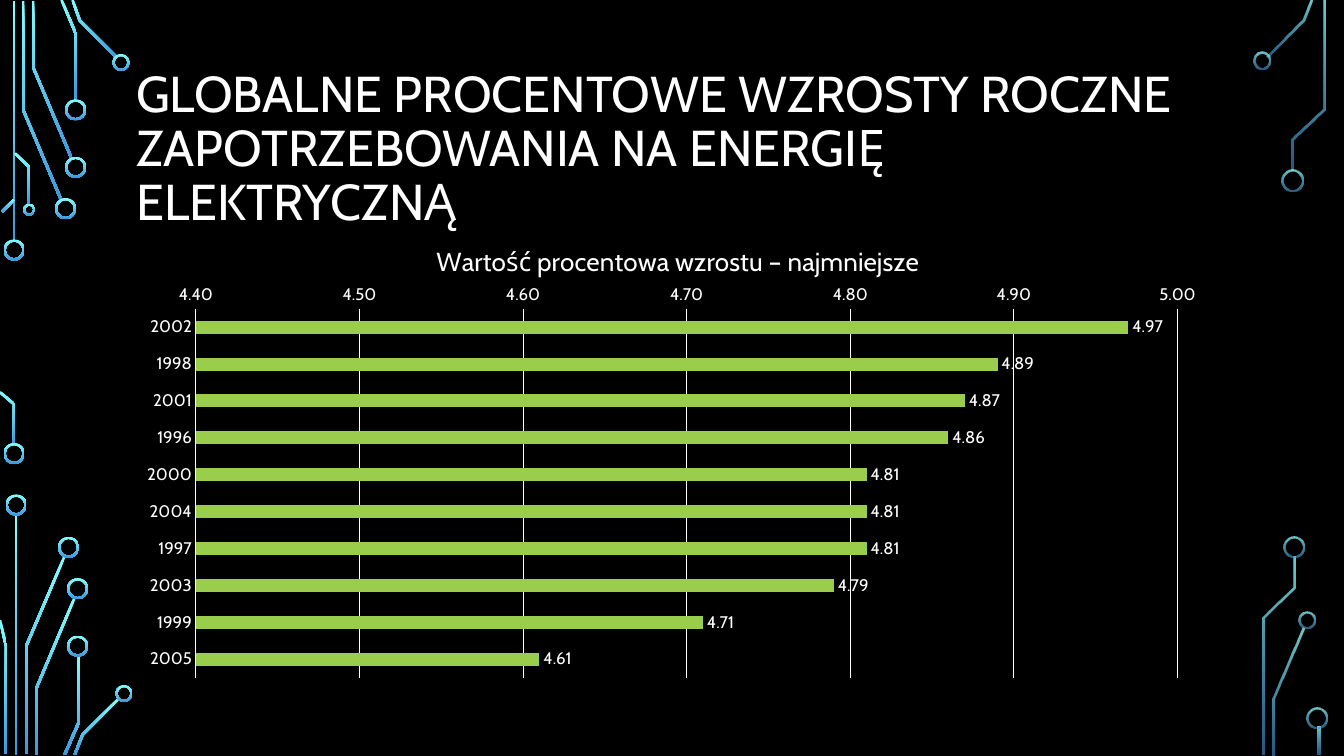
import math
from lxml import etree
from pptx import Presentation, util as u
from pptx.chart import data as chart_data
from pptx.dml import color as dml_color
from pptx.enum import chart as chart_enum, shapes, text
from pptx.oxml import ns

PX = 9144
FONT = "Cabin"
COLORS = {
    "background": "000000",
    "text": "FFFFFF",
    "bar": "9ACD4C",
    "glow": "82FFFF",
    "blue": "3D97DE",
}
TRACE_HALF = 1.25
RING_STROKE = 2.1
RING = 21
SMALL_RING = 17
TINY_RING = 12
OPAQUE = (100, 100)
FADED = (80, 60)

LEFT_TRACES = [
    [(14, 1), (14, 240)],
    [(61, 199), (23, 109), (23, 1)],
    [(71, 157), (33, 67), (33, 1)],
    [(75, 100), (75, 33), (61, 0)],
    [(116, 57), (79, 20), (72, 0)],
    [(2, 210), (14, 198)],
    [(14, 441), (14, 401), (0, 389)],
    [(29, 203), (29, 166), (15, 152)],
    [(16, 510), (16, 749)],
    [(26, 748), (26, 641), (64, 552)],
    [(6, 748), (6, 641), (0, 615)],
    [(36, 749), (36, 683), (74, 593)],
    [(64, 749), (78, 717), (78, 650)],
    [(74, 749), (82, 729), (118, 693)],
]
LEFT_RINGS = [
    (14, 248, RING), (14, 450, RING), (65, 207, RING), (75, 166, RING),
    (75, 109, RING), (120, 62, SMALL_RING), (29, 208, TINY_RING),
    (16, 501, RING), (68, 543, RING), (77, 584, RING), (77, 641, RING),
    (123, 688, SMALL_RING),
]
RIGHT_TRACES = [
    [(1257, 56), (1293, 20), (1301, 0)],
    [(1282, 169), (1282, 138), (1313, 108), (1313, 1)],
    [(1263, 749), (1263, 693), (1293, 623)],
    [(1253, 749), (1253, 613), (1284, 583), (1284, 552)],
    [(1308, 721), (1308, 749)],
]
RIGHT_RINGS = [
    (1252, 60, SMALL_RING), (1282, 179, RING), (1296, 615, SMALL_RING),
    (1283, 543, RING), (1306, 712, RING),
]
GROWTH = {
    "2002": 4.97, "1998": 4.89, "2001": 4.87, "1996": 4.86, "2000": 4.81,
    "2004": 4.81, "1997": 4.81, "2003": 4.79, "1999": 4.71, "2005": 4.61,
}


def px(value):
    return u.Emu(round(value * PX))


def rgb(name):
    return dml_color.RGBColor.from_string(COLORS[name])


def style_font(font, size):
    font.name = FONT
    font.size = u.Pt(size)
    font.bold = False
    font.color.rgb = rgb("text")


def style_glow(shape, opacities):
    shape.shadow.inherit = False
    shape.line.fill.background()
    shape.fill.gradient()
    shape.fill.gradient_angle = 270
    for stop, name, position, opacity in zip(
        shape.fill.gradient_stops, ("glow", "blue"), (0, 1), opacities
    ):
        stop.color.rgb = rgb(name)
        stop.position = position
    for value, opacity in zip(shape.element.iter(ns.qn("a:srgbClr")), opacities):
        if opacity < 100:
            etree.SubElement(value, ns.qn("a:alpha"), val=str(opacity * 1000))


def trace_side(points, offset):
    angles = [
        math.atan2(y2 - y1, x2 - x1)
        for (x1, y1), (x2, y2) in zip(points, points[1:])
    ]
    side = []
    for (x, y), before, after in zip(points, angles[:1] + angles, angles + angles[-1:]):
        turn = math.remainder(after - before, math.tau) / 2
        normal = before + turn + math.pi / 2
        reach = offset / math.cos(turn)
        side.append((px(x + reach * math.cos(normal)), px(y + reach * math.sin(normal))))
    return side


def add_trace(slide, points, opacities):
    outline = trace_side(points, TRACE_HALF) + trace_side(points, -TRACE_HALF)[::-1]
    builder = slide.shapes.build_freeform(*outline[0])
    builder.add_line_segments(outline[1:], close=True)
    style_glow(builder.convert_to_shape(), opacities)


def add_ring(slide, x, y, size, opacities):
    ring = slide.shapes.add_shape(
        shapes.MSO_SHAPE.DONUT, px(x - size / 2), px(y - size / 2), px(size), px(size)
    )
    ring.adjustments[0] = RING_STROKE / size
    style_glow(ring, opacities)


def add_circuit(slide, traces, rings, opacities):
    for points in traces:
        add_trace(slide, points, opacities)
    for x, y, size in rings:
        add_ring(slide, x, y, size, opacities)


def format_title(slide, wording):
    title = slide.shapes.title
    title.left, title.top, title.width, title.height = map(px, (125, 68, 1083, 162))
    frame = title.text_frame
    frame.text = wording
    frame.word_wrap = True
    frame.auto_size = text.MSO_AUTO_SIZE.NONE
    frame.vertical_anchor = text.MSO_ANCHOR.MIDDLE
    paragraph = frame.paragraphs[0]
    paragraph.alignment = text.PP_ALIGN.LEFT
    paragraph.line_spacing = 0.9
    style_font(paragraph.runs[0].font, 36)


def set_layout(parent, index, inner=False, **fractions):
    for layout in parent.findall(ns.qn("c:layout")):
        parent.remove(layout)
    layout = parent.makeelement(ns.qn("c:layout"))
    parent.insert(index, layout)
    manual = etree.SubElement(layout, ns.qn("c:manualLayout"))
    if inner:
        etree.SubElement(manual, ns.qn("c:layoutTarget"), val="inner")
    for mode in ("xMode", "yMode"):
        etree.SubElement(manual, ns.qn(f"c:{mode}"), val="edge")
    for name, fraction in fractions.items():
        etree.SubElement(manual, ns.qn(f"c:{name}"), val=str(fraction))


def style_axis(axis):
    axis.major_tick_mark = chart_enum.XL_TICK_MARK.NONE
    axis.minor_tick_mark = chart_enum.XL_TICK_MARK.NONE
    style_font(axis.tick_labels.font, 12)


def style_line(line):
    line.color.rgb = rgb("text")
    line.width = u.Pt(0.75)


def add_growth_chart(slide, heading):
    growth = chart_data.CategoryChartData(number_format="0.00")
    growth.categories = list(GROWTH)
    growth.add_series("Series 1", list(GROWTH.values()))
    chart = slide.shapes.add_chart(
        chart_enum.XL_CHART_TYPE.BAR_CLUSTERED, *map(px, (125, 218, 1083, 465)), growth
    ).chart
    style_font(chart.font, 10)
    chart.has_legend = False
    chart.has_title = True
    frame = chart.chart_title.text_frame
    frame.text = heading
    style_font(frame.paragraphs[0].runs[0].font, 18.6)
    set_layout(chart.chart_title.element, 1, x=0.28, y=0.04)
    plot_area = chart.element.find(f".//{ns.qn('c:plotArea')}")
    set_layout(plot_area, 0, inner=True, x=0.064, y=0.19, w=0.899, h=0.787)

    years = chart.category_axis
    style_axis(years)
    style_line(years.format.line)
    years.reverse_order = True
    percents = chart.value_axis
    style_axis(percents)
    percents.format.line.fill.background()
    style_line(percents.major_gridlines.format.line)
    percents.minimum_scale, percents.maximum_scale, percents.major_unit = 4.4, 5, 0.1
    percents.tick_labels.number_format = "0.00"
    percents.tick_labels.number_format_is_linked = False

    plot = chart.plots[0]
    plot.gap_width = 182
    plot.vary_by_categories = False
    series = plot.series[0]
    series.format.fill.solid()
    series.format.fill.fore_color.rgb = rgb("bar")
    labels = series.data_labels
    labels.show_value = True
    labels.position = chart_enum.XL_LABEL_POSITION.OUTSIDE_END
    style_font(labels.font, 12)


def main():
    presentation = Presentation()
    presentation.slide_width, presentation.slide_height = px(1333), px(750)
    slide = presentation.slides.add_slide(presentation.slide_layouts[5])
    slide.background.fill.solid()
    slide.background.fill.fore_color.rgb = rgb("background")
    add_circuit(slide, LEFT_TRACES, LEFT_RINGS, OPAQUE)
    add_circuit(slide, RIGHT_TRACES, RIGHT_RINGS, FADED)
    format_title(
        slide, "GLOBALNE PROCENTOWE WZROSTY ROCZNE ZAPOTRZEBOWANIA NA ENERGIĘ ELEKTRYCZNĄ"
    )
    add_growth_chart(slide, "Wartość procentowa wzrostu – najmniejsze")
    presentation.save("out.pptx")


if __name__ == "__main__":
    main()
